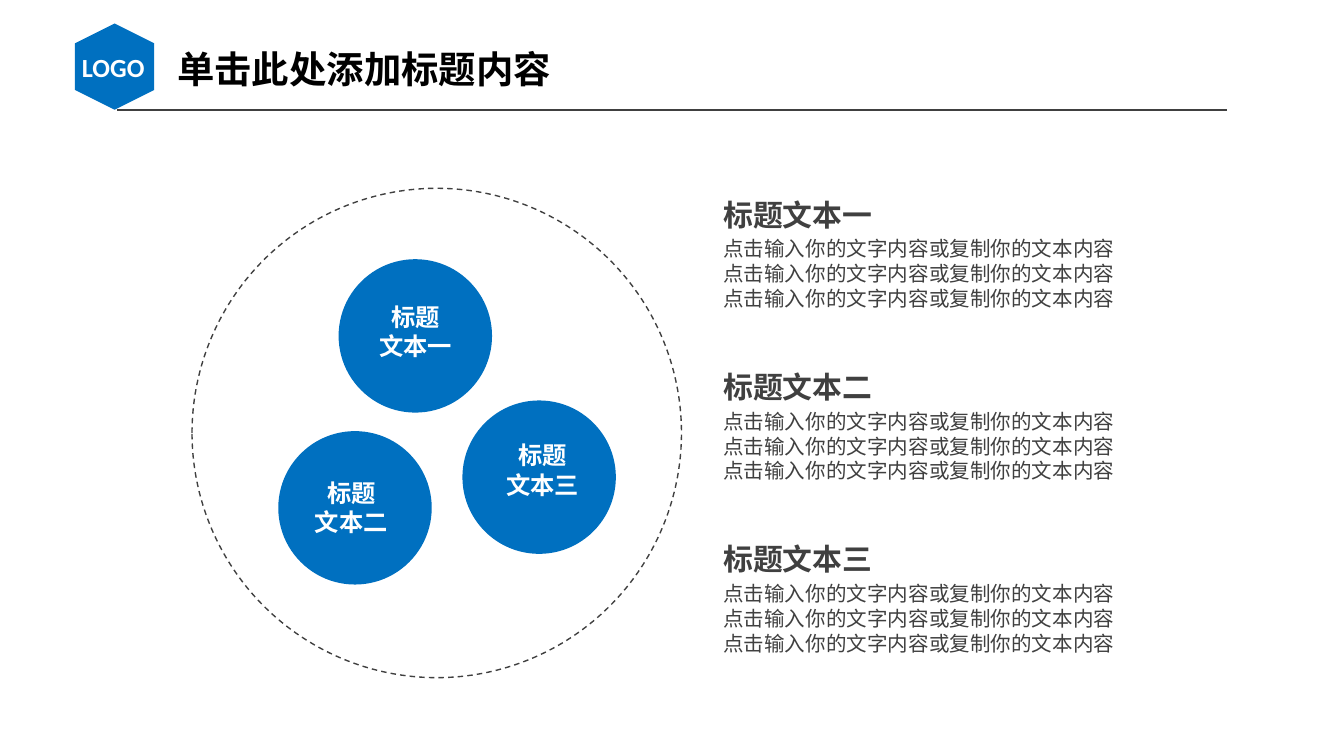
from lxml import etree
from pptx import Presentation
from pptx.dml.color import RGBColor
from pptx.enum.dml import MSO_LINE
from pptx.enum.shapes import MSO_CONNECTOR, MSO_SHAPE
from pptx.enum.text import MSO_AUTO_SIZE, PP_ALIGN
from pptx.oxml.ns import qn
from pptx.util import Cm, Pt

ELLIPSE, HEXAGON = MSO_SHAPE.OVAL, MSO_SHAPE.HEXAGON
STRAIGHT, DASH = MSO_CONNECTOR.STRAIGHT, MSO_LINE.DASH
LEFT, CENTER = PP_ALIGN.LEFT, PP_ALIGN.CENTER
GROW = MSO_AUTO_SIZE.SHAPE_TO_FIT_TEXT

BLUE, GREY, WHITE, BLACK = "0070C0", "404040", "FFFFFF", "000000"
CJK, LATIN = "Noto Sans CJK SC", "Calibri"
WIDE_INSETS, TIGHT_INSETS = (0.25, 0.13), (0.18, 0.1)

NUMERALS = ["一", "二", "三"]
BUBBLES = [(6.4, 4.9), (5.26, 8.15), (8.74, 7.57)]
LABELS = [(6.91, 5.61), (5.69, 8.94), (9.3, 8.23)]
BODY_LINE = "点击输入你的文字内容或复制你的文本内容"
SECTION_LEFT, SECTION_TOP, SECTION_PITCH = 13.49, 3.61, 3.26


def color(value):
    return RGBColor.from_string(value)


def add_shape(page, preset, left, top, width, height, fill=None, outline=None):
    shape = page.shapes.add_shape(preset, Cm(left), Cm(top), Cm(width), Cm(height))
    shape.shadow.inherit = False
    if fill:
        shape.fill.solid()
        shape.fill.fore_color.rgb = color(fill)
    else:
        shape.fill.background()
    if outline:
        shape.line.color.rgb = color(outline)
        shape.line.width = Pt(0.75)
        shape.line.dash_style = DASH
    else:
        shape.line.fill.background()
    return shape


def add_rule(page, left, right, top):
    rule = page.shapes.add_connector(STRAIGHT, Cm(left), Cm(top), Cm(right), Cm(top))
    rule.line.color.rgb = color(GREY)
    rule.line.width = Pt(0.75)
    etree.SubElement(rule._element.spPr, qn("a:effectLst"))


def add_text(page, left, top, width, height, lines, size, fill, bold=False,
             align=LEFT, font=CJK, insets=TIGHT_INSETS, wrap=True):
    box = page.shapes.add_textbox(Cm(left), Cm(top), Cm(width), Cm(height))
    frame = box.text_frame
    frame.word_wrap = wrap
    frame.auto_size = GROW
    frame.margin_left = frame.margin_right = Cm(insets[0])
    frame.margin_top = frame.margin_bottom = Cm(insets[1])
    for index, line in enumerate(lines):
        para = frame.add_paragraph() if index else frame.paragraphs[0]
        para.alignment = align
        span = para.add_run()
        span.text = line
        span.font.size = Pt(size)
        span.font.bold = bold
        span.font.color.rgb = color(fill)
        span.font.name = font
        east_asian = etree.SubElement(span._r.get_or_add_rPr(), qn("a:ea"))
        east_asian.set("typeface", font)


def add_header(page):
    add_rule(page, 2.21, 23.19, 2.08)
    badge = add_shape(page, HEXAGON, 1.35, 0.51, 1.63, 1.5, fill=BLUE)
    badge.rotation = 90
    add_text(page, 1.24, 0.84, 1.8, 0.86, ["LOGO"], 14, WHITE, bold=True,
             align=CENTER, font=LATIN, insets=WIDE_INSETS)
    add_text(page, 3.1, 0.74, 10, 1.12, ["单击此处添加标题内容"], 20, BLACK,
             bold=True, insets=WIDE_INSETS)


def add_bubbles(page):
    add_shape(page, ELLIPSE, 3.63, 3.56, 9.25, 9.25, outline=GREY)
    for bubble, label, numeral in zip(BUBBLES, LABELS, NUMERALS):
        add_shape(page, ELLIPSE, *bubble, 2.9, 2.9, fill=BLUE)
        add_text(page, *label, 1.9, 1.35, ["标题", "文本" + numeral], 13, WHITE,
                 bold=True, align=CENTER)


def add_sections(page):
    for index, numeral in enumerate(NUMERALS):
        top = SECTION_TOP + index * SECTION_PITCH
        add_text(page, SECTION_LEFT, top, 3.23, 0.86, ["标题文本" + numeral],
                 16, GREY, bold=True, wrap=False)
        add_text(page, SECTION_LEFT, top + 0.76, 8.79, 1.6, [BODY_LINE] * 3,
                 11, GREY)


def main():
    deck = Presentation()
    deck.slide_width, deck.slide_height = Cm(25.4), Cm(14.29)
    page = deck.slides.add_slide(deck.slide_layouts[6])
    add_header(page)
    add_bubbles(page)
    add_sections(page)
    deck.save("out.pptx")


if __name__ == "__main__":
    main()
